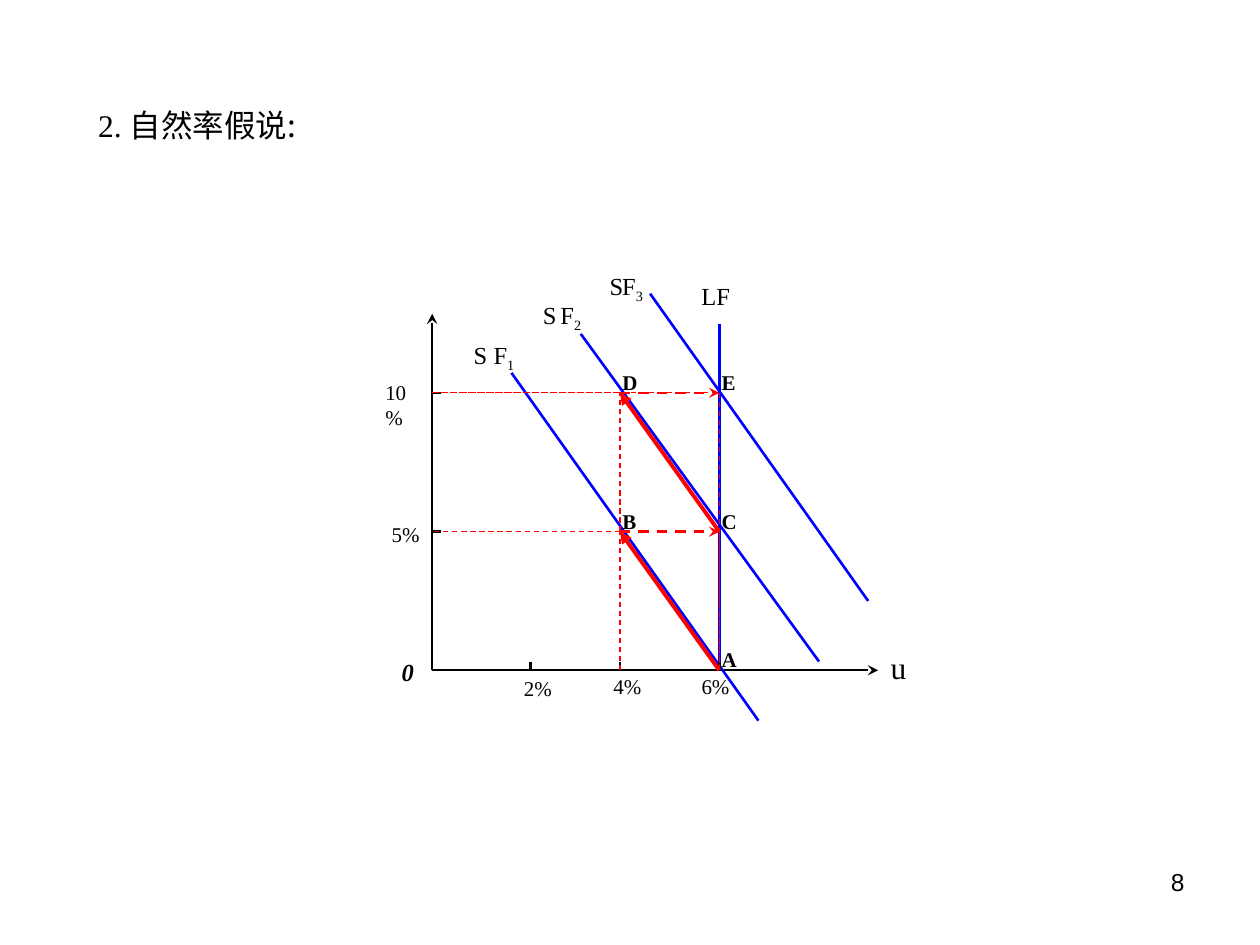
from dataclasses import dataclass

from lxml.etree import SubElement
from pptx import Presentation
from pptx.dml.color import RGBColor
from pptx.enum.dml import MSO_LINE
from pptx.enum.shapes import MSO_CONNECTOR
from pptx.enum.text import MSO_ANCHOR, PP_ALIGN
from pptx.oxml.ns import qn
from pptx.util import Pt

BLACK = RGBColor(0x00, 0x00, 0x00)
BLUE = RGBColor(0x00, 0x00, 0xFF)
RED = RGBColor(0xFF, 0x00, 0x00)
SERIF = "Times New Roman"
CHINESE = "Noto Sans CJK SC"

# Chart grid, in points
AXIS_X, AXIS_Y = 247, 383
RATE_2, RATE_4, RATE_6 = 303.2, 354.3, 411
INFLATION_5, INFLATION_10 = 303.8, 224.5
TICK = 5
POINT_A = (RATE_6, AXIS_Y)
POINT_B = (RATE_4, INFLATION_5)
POINT_C = (RATE_6, INFLATION_5)
POINT_D = (RATE_4, INFLATION_10)
POINT_E = (RATE_6, INFLATION_10)


@dataclass
class Line:
    start: tuple[float, float]
    end: tuple[float, float]
    color: RGBColor = BLACK
    weight: float = 1.5
    dashed: bool = False
    arrow: str = ""


@dataclass
class Label:
    text: str
    left: float
    top: float
    width: float
    height: float = 24.5
    size: float = 14
    font: str = SERIF
    bold: bool = False
    italic: bool = False
    subscript: str = ""
    wrap: bool = False
    align: PP_ALIGN = PP_ALIGN.LEFT


def draw_line(slide, line: Line) -> None:
    points = [Pt(value) for value in (*line.start, *line.end)]
    connector = slide.shapes.add_connector(MSO_CONNECTOR.STRAIGHT, *points)
    connector.line.color.rgb = line.color
    connector.line.width = Pt(line.weight)
    if line.dashed:
        connector.line.dash_style = MSO_LINE.DASH
    properties = connector._element.spPr
    if line.arrow:
        SubElement(properties.find(qn("a:ln")), qn("a:tailEnd"), type=line.arrow)
    SubElement(properties, qn("a:effectLst"))


def format_span(span, label: Label) -> None:
    span.font.name = label.font
    span.font.size = Pt(label.size)
    span.font.bold = label.bold
    span.font.italic = label.italic
    span.font.color.rgb = BLACK


def draw_label(slide, label: Label):
    box = slide.shapes.add_textbox(
        Pt(label.left), Pt(label.top), Pt(label.width), Pt(label.height))
    frame = box.text_frame
    frame.word_wrap = label.wrap
    frame.vertical_anchor = MSO_ANCHOR.TOP
    frame.text = label.text
    para = frame.paragraphs[0]
    para.alignment = label.align
    if label.subscript:
        span = para.add_run()
        span.text = label.subscript
        span.font._element.set("baseline", "-25000")
    for span in para.runs:
        format_span(span, label)
    return box


def draw_title(slide) -> None:
    title = Label("2. 自然率假说", 49, 60.5, 630, 45, size=18, wrap=True)
    box = draw_label(slide, title)
    box.text_frame.margin_top = 0
    para = box.text_frame.paragraphs[0]
    colon = para.add_run()
    colon.text = ":"
    format_span(colon, title)
    colon.font.name = CHINESE
    for span in para.runs:
        SubElement(span.font._element, qn("a:ea"), typeface=CHINESE)


def chart_lines() -> list[Line]:
    # Axes
    lines = [
        Line((AXIS_X, AXIS_Y), (AXIS_X, 179.3), weight=1, arrow="stealth"),
        Line((AXIS_X, AXIS_Y), (501.8, AXIS_Y), weight=1, arrow="stealth"),
    ]
    # Short-run curves and the vertical long-run curve
    curves = [
        ((292.3, 213.1), (433.4, 411.8)),
        ((331.9, 190.8), (468, 378)),
        ((371.5, 167.8), (496.1, 343.4)),
        (POINT_A, (RATE_6, 185)),
    ]
    lines += [Line(start, end, BLUE) for start, end in curves]
    # Ticks
    lines += [Line((x, AXIS_Y - TICK), (x, AXIS_Y)) for x in (RATE_2, RATE_4, RATE_6)]
    lines += [Line((AXIS_X, y), (AXIS_X + TICK, y)) for y in (INFLATION_5, INFLATION_10)]
    # Guides
    guides = [
        ((RATE_4, AXIS_Y), POINT_B),
        (POINT_B, (AXIS_X, INFLATION_5)),
        (POINT_B, POINT_D),
        (POINT_D, (AXIS_X, INFLATION_10)),
        (POINT_C, POINT_A),
        (POINT_E, POINT_A),
        ((AXIS_X, INFLATION_10), POINT_E),
    ]
    lines += [Line(start, end, RED, 0.75, dashed=True) for start, end in guides]
    # Adjustment path A-B-C-D-E
    for start, end in ((POINT_B, POINT_C), (POINT_D, POINT_E)):
        lines.append(Line(start, end, RED, 1.5, dashed=True, arrow="stealth"))
    for start, end in ((POINT_A, POINT_B), (POINT_C, POINT_D)):
        lines.append(Line(start, end, RED, 2.25, arrow="triangle"))
    return lines


def chart_labels() -> list[Label]:
    # Axis names
    labels = [
        Label("u", 501.8, 366.5, 35.3, 29, size=18, wrap=True),
        Label("0", 222.5, 372.2, 24.5, bold=True, italic=True, wrap=True),
        Label("LF", 393.8, 157, 31),
    ]
    # Tick values
    ticks = [("5%", 216.7, 294.5, 30.2), ("10%", 213.1, 213.1, 36),
             ("2%", 292.3, 382.3, 30.2), ("4%", 343.4, 381.6, 30.2),
             ("6%", 393.8, 381.6, 30.2)]
    labels += [Label(*tick, height=21.6, size=12) for tick in ticks]
    # Curve names
    for number, s_left, f_left, top in (("1", 263.5, 275, 190.8),
                                        ("2", 303.1, 313.2, 167.8),
                                        ("3", 341.3, 348.5, 151.2)):
        labels.append(Label("F", f_left, top, 30, 26.6, subscript=number, wrap=True))
        labels.append(Label("S", s_left, top, 22.3))
    # Point names
    for name, (x, y) in zip("ABCDE", (POINT_A, POINT_B, POINT_C, POINT_D, POINT_E)):
        labels.append(Label(name, x - 5.8, y - 16.8, 23, 21.6, size=12, bold=True))
    return labels


def main() -> None:
    deck = Presentation()
    deck.slide_width, deck.slide_height = Pt(720), Pt(540)
    page = deck.slides.add_slide(deck.slide_layouts[6])
    draw_title(page)
    for line in chart_lines():
        draw_line(page, line)
    for label in chart_labels():
        draw_label(page, label)
    # Page number
    draw_label(page, Label("8", 516.2, 491.8, 167.8, 37.4, font="Arial",
                           wrap=True, align=PP_ALIGN.RIGHT))
    deck.save("out.pptx")


if __name__ == "__main__":
    main()
